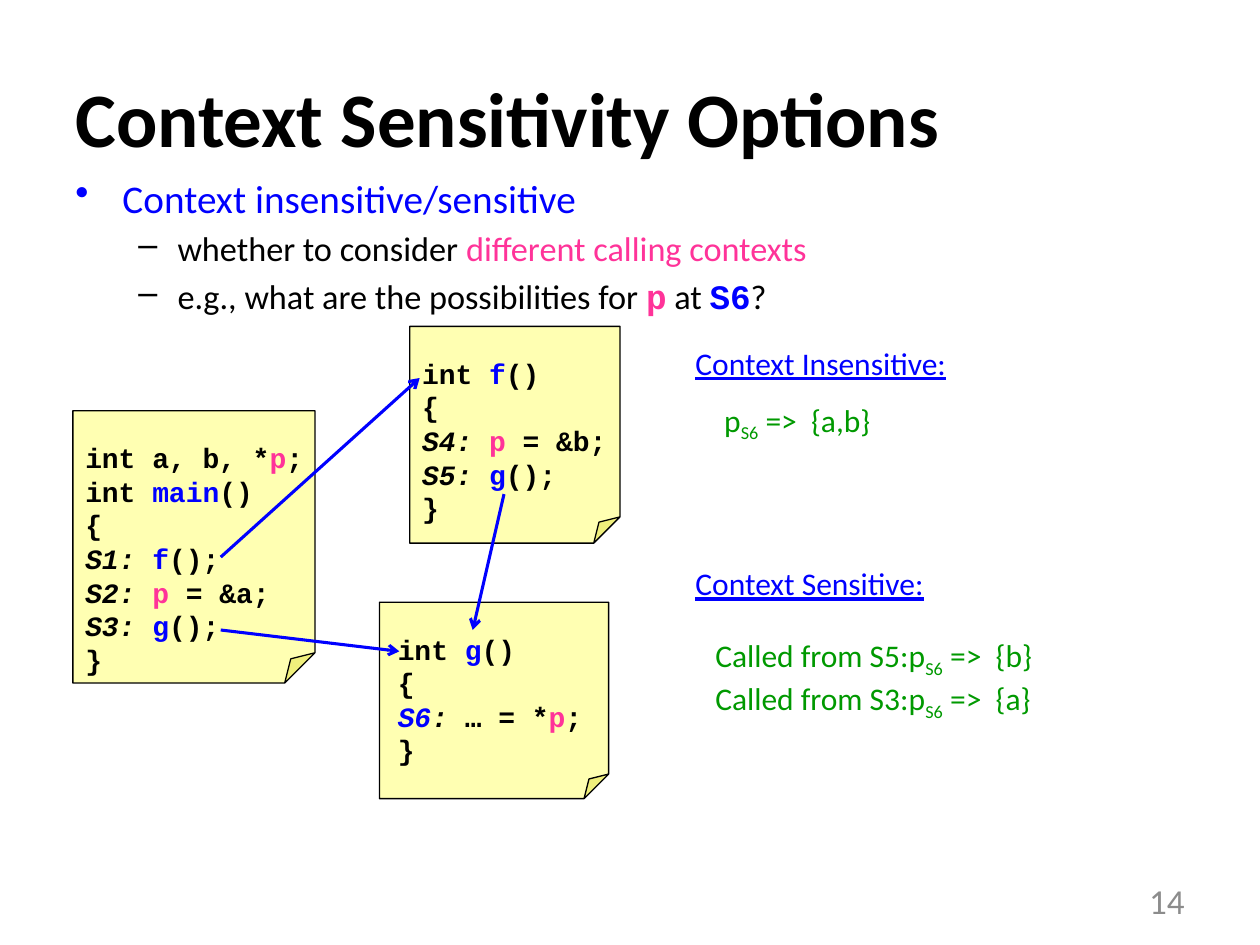
"""Build a slide on context-insensitive and context-sensitive pointer analysis."""
from pptx import Presentation, util as u
from pptx.dml.color import RGBColor
from pptx.enum import shapes, text
from pptx.oxml.ns import qn
from lxml import etree

THEME = {
    "black": "000000", "blue": "0000FF", "pink": "FF3399", "green": "009900",
    "gray": "8C8C8C", "note": "FFFF00",
    "sans": "Calibri", "mono": "Courier New",
    "title": 44, "bullet": 22.4, "dash": 19.6, "label": 18, "code": 16, "number": 20,
}
CODE_PITCH = u.Pt(19.2)


def add_text(s, box, lines, size, color="black", face="sans", bold=None):
    sp = s.shapes.add_textbox(*map(u.Cm, box))
    tf = sp.text_frame
    tf.word_wrap = True
    for i, line in enumerate(lines):
        p = tf.paragraphs[0] if i == 0 else tf.add_paragraph()
        p.font.size = u.Pt(THEME[size])
        p.font.name = THEME[face]
        p.font.bold = bold
        p.font.color.rgb = RGBColor.from_string(THEME[color])
        for words, style in line:
            r = p.add_run()
            r.text = words
            for name in style.split():
                if name == "italic":
                    r.font.italic = True
                elif name == "underline":
                    r.font.underline = True
                elif name == "sub":
                    r._r.get_or_add_rPr().set("baseline", "-25000")
                elif name == "mono":
                    r.font.name = THEME["mono"]
                    r.font.bold = True
                else:
                    r.font.color.rgb = RGBColor.from_string(THEME[name])
    return tf


def add_bullet(p, mark, margin, indent):
    pPr = p._p.get_or_add_pPr()
    pPr.set("marL", str(u.Cm(margin)))
    pPr.set("indent", str(u.Cm(indent)))
    bullet = etree.Element(qn("a:buChar"), char=mark)
    pPr.find(qn("a:defRPr")).addprevious(bullet)


prs = Presentation()
prs.slide_width, prs.slide_height = u.Cm(25.4), u.Cm(19.05)
s = prs.slides.add_slide(prs.slide_layouts[6])

tf = add_text(s, (1.27, 0.76, 22.86, 3.18),
              [[("Context Sensitivity Options", "")]], "title", bold=True)
tf.vertical_anchor = text.MSO_ANCHOR.MIDDLE

tf = add_text(s, (1.27, 3.38, 22.86, 2.97), [
    [("Context insensitive/sensitive", "")],
    [("whether to consider ", ""), ("different calling contexts", "pink")],
    [("e.g., what are the possibilities for ", ""), ("p", "pink mono"),
     (" at ", ""), ("S6", "blue mono"), ("?", "")],
], "dash")
top, *subs = tf.paragraphs
top.font.size = u.Pt(THEME["bullet"])
top.font.color.rgb = RGBColor.from_string(THEME["blue"])
top.space_before = u.Pt(4.5)
add_bullet(top, "•", 0.95, -0.95)
for p in subs:
    p.level = 1
    p.space_before = u.Pt(3.9)
    add_bullet(p, "–", 2.06, -0.79)

tf = add_text(s, (18.21, 17.65, 5.92, 1.02), [[("14", "")]], "number", "gray")
tf.vertical_anchor = text.MSO_ANCHOR.MIDDLE
tf.paragraphs[0].alignment = text.PP_ALIGN.RIGHT

opening, closing = [("{", "")], [("}", "")]
notes = [
    ((1.47, 8.28, 4.88, 5.49), 1.47, 5.1, [
        [("int a, b, *", ""), ("p", "pink"), (";", "")],
        [("int ", ""), ("main", "blue"), ("()", "")],
        opening,
        [("S1: ", "italic"), ("f", "blue"), ("();", "")],
        [("S2: ", "italic"), ("p", "pink"), (" = &a;", "")],
        [("S3: ", "italic"), ("g", "blue"), ("();", "")],
        closing]),
    ((8.26, 6.58, 4.24, 4.37), 8.26, 4.4, [
        [("int ", ""), ("f", "blue"), ("()", "")],
        opening,
        [("S4: ", "italic"), ("p", "pink"), (" = &b;", "")],
        [("S5: ", "italic"), ("g", "blue"), ("();", "")],
        closing]),
    ((7.65, 12.14, 4.62, 3.96), 7.77, 5.16, [
        [("int ", ""), ("g", "blue"), ("()", "")],
        opening,
        [("S6", "blue italic"), (": ", "italic"), ("… = *", ""), ("p", "pink"), (";", "")],
        closing]),
]
for box, left, width, code in notes:
    sp = s.shapes.add_shape(shapes.MSO_SHAPE.FOLDED_CORNER, *map(u.Cm, box))
    fold = sp._element.spPr.find(qn("a:prstGeom")).get_or_add_avLst()
    etree.SubElement(fold, qn("a:gd"), name="adj", fmla="val 12500")
    sp.shadow.inherit = False
    sp.fill.solid()
    sp.fill.fore_color.rgb = RGBColor.from_string(THEME["note"])
    color = sp._element.spPr.find(qn("a:solidFill")).find(qn("a:srgbClr"))
    etree.SubElement(color, qn("a:alpha"), val="30000")
    sp.line.color.rgb = RGBColor.from_string(THEME["black"])
    sp.line.width = u.Pt(0.75)
    height = CODE_PITCH.cm * len(code) + 0.25
    tf = add_text(s, (left, box[1] + 0.48, width, height), code, "code",
                  face="mono", bold=True)
    for p in tf.paragraphs:
        p.line_spacing = CODE_PITCH

for ends in [(4.45, 11.23, 8.46, 7.62), (4.45, 12.7, 8.05, 13.13),
             (10.16, 9.96, 9.53, 12.7)]:
    call = s.shapes.add_connector(shapes.MSO_CONNECTOR.STRAIGHT, *map(u.Cm, ends))
    call.line.color.rgb = RGBColor.from_string(THEME["blue"])
    call.line.width = u.Pt(1.75)
    outline = call._element.spPr.find(qn("a:ln"))
    etree.SubElement(outline, qn("a:tailEnd"), type="arrow")
    etree.SubElement(call._element.spPr, qn("a:effectLst"))

for y, heading in [(6.81, "Context Insensitive:"), (11.25, "Context Sensitive:")]:
    add_text(s, (13.77, y, 5.7, 1.02), [[(heading, "underline")]], "label", "blue")

add_text(s, (14.35, 7.95, 3.7, 1.02),
         [[("p", ""), ("S6", "sub"), (" =>  {a,b}", "")]], "label", "green")
add_text(s, (14.17, 12.7, 7.42, 1.8), [
    [(f"Called from {site}:p", ""), ("S6", "sub"), (f" =>  {{{target}}}", "")]
    for site, target in [("S5", "b"), ("S3", "a")]
], "label", "green")

prs.save("out.pptx")
